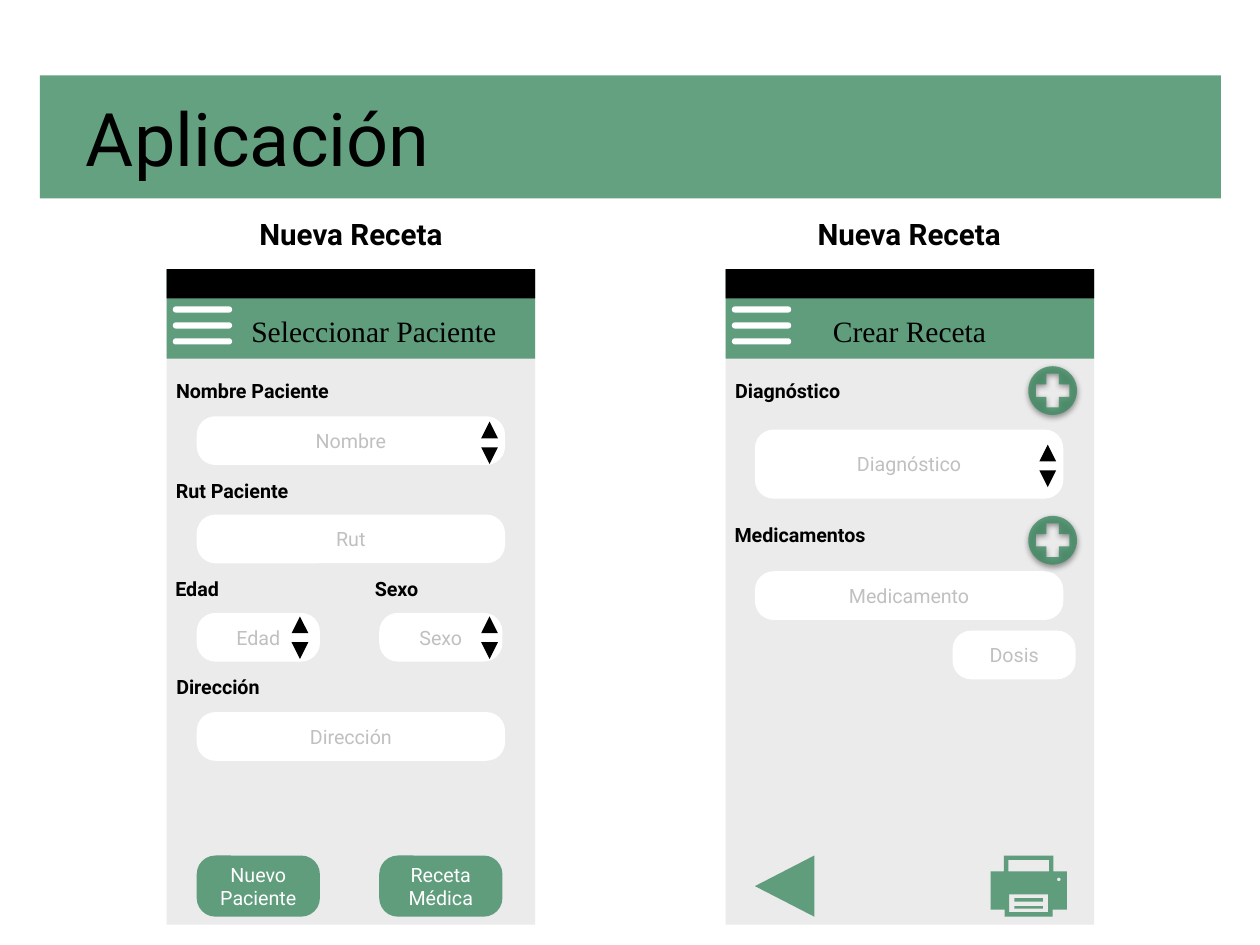
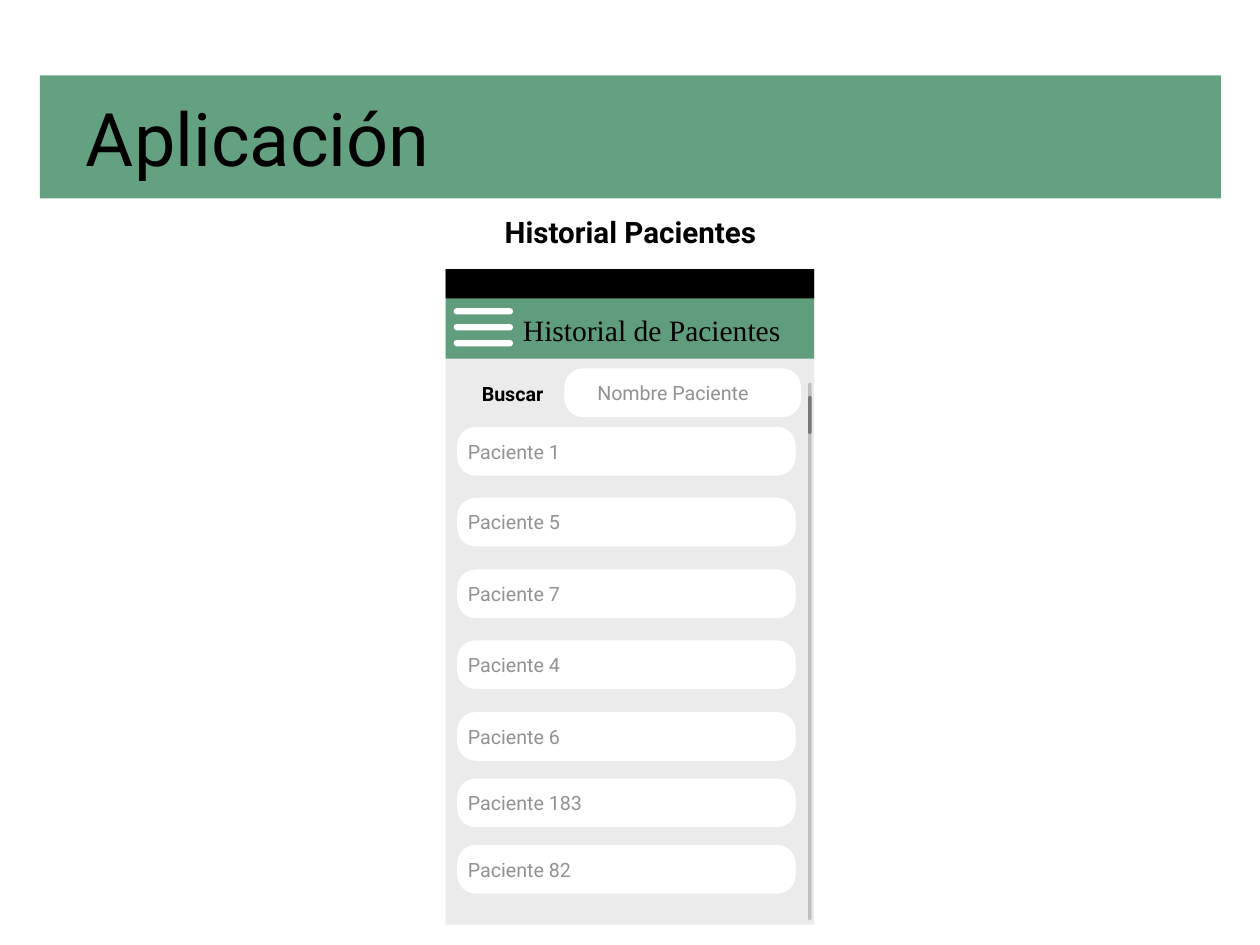
from math import cos, pi, sin

from lxml import etree
from pptx import Presentation
from pptx import util as u
from pptx.dml.color import RGBColor
from pptx.enum import shapes, text
from pptx.oxml.ns import qn

PX = 9144  # 100 px to the inch
GREEN, GREY, WHITE, BLACK = "3D8A62", "EBEBEB", "FFFFFF", "000000"
HINT, ENTRY = "C0C0C0", "929292"
SANS, SERIF = "Roboto", "Times New Roman"
RECT = shapes.MSO_SHAPE.RECTANGLE
ROUND = shapes.MSO_SHAPE.ROUNDED_RECTANGLE
TRIANGLE = shapes.MSO_SHAPE.ISOSCELES_TRIANGLE
CENTER, LEFT = text.PP_ALIGN.CENTER, text.PP_ALIGN.LEFT
INSET, CORNER = 6, 21


def paint(shape, color):
    """Fill without outline or shadow; the theme green is 80 % opaque."""
    shape.fill.solid()
    shape.fill.fore_color.rgb = RGBColor.from_string(color)
    shape.line.fill.background()
    shape.shadow.inherit = False
    if color == GREEN:
        tint = shape._element.spPr.find(".//" + qn("a:srgbClr"))
        etree.SubElement(tint, qn("a:alpha"), val="80000")


def write(shape, words, size, color, font=SANS, bold=False, align=CENTER,
          wrap=True, indent=0):
    frame = shape.text_frame
    frame.word_wrap = wrap
    frame.auto_size = text.MSO_AUTO_SIZE.NONE
    frame.vertical_anchor = text.MSO_ANCHOR.MIDDLE
    frame.margin_left = (INSET + indent) * PX
    frame.margin_right = frame.margin_top = frame.margin_bottom = INSET * PX
    paragraph = frame.paragraphs[0]
    paragraph.alignment = align
    run = paragraph.add_run()
    run.text = words
    run.font.name, run.font.size, run.font.bold = font, u.Pt(size), bold
    run.font.color.rgb = RGBColor.from_string(color)


prs = Presentation()
prs.slide_width, prs.slide_height = 1422 * PX, 1067 * PX

# Slides with the green title band
slides = []
for _ in range(2):
    slide = prs.slides.add_slide(prs.slide_layouts[5])
    band = slide.shapes.add_shape(RECT, 45 * PX, 85 * PX, 1333 * PX, 139 * PX)
    paint(band, GREEN)
    title = slide.shapes.title
    title.left, title.top, title.width, title.height = (
        v * PX for v in (83, 99, 416, 111))
    write(title, "Aplicación", 60, BLACK, wrap=False)
    slide.shapes._spTree.append(title._element)
    slides.append(slide)
recipe, history = slides

# Phones: slide, left, menu icon offset and top, bar title, heading
phones = [
    (recipe, 188, 7, 346, ("Seleccionar Paciente", 276, 348, 292),
     ("Nueva Receta", 279, 239, 234)),
    (recipe, 819, 7, 346, ("Crear Receta", 930, 348, 193),
     ("Nueva Receta", 909, 239, 234)),
    (history, 503, 9, 348, ("Historial de Pacientes", 580, 347, 311),
     ("Historial Pacientes", 556, 237, 311)),
]
for slide, left, menu_dx, menu_top, bar_title, heading in phones:
    parts = [(RECT, left, 305, 416, 739, GREY),
             (RECT, left, 304, 416, 101, GREEN),
             (RECT, left, 304, 416, 33, BLACK)]
    parts += [(ROUND, left + menu_dx, menu_top + 18 * i, 67, 7, WHITE)
              for i in range(3)]
    for preset, x, y, w, h, color in parts:
        part = slide.shapes.add_shape(preset, x * PX, y * PX, w * PX, h * PX)
        paint(part, color)
        if preset == ROUND:
            part.adjustments[0] = 0.5
    for (words, x, y, w), font in ((bar_title, SERIF), (heading, SANS)):
        label = slide.shapes.add_textbox(x * PX, y * PX, w * PX, 50 * PX)
        write(label, words, 24, BLACK, font, bold=font == SANS, wrap=False)

# Field labels
labels = [
    (recipe, "Nombre Paciente", 187, 423, 196),
    (recipe, "Rut Paciente", 188, 535, 148),
    (recipe, "Edad", 189, 646, 67),
    (recipe, "Sexo", 415, 646, 65),
    (recipe, "Dirección", 189, 757, 114),
    (recipe, "Diagnóstico", 819, 423, 140),
    (recipe, "Medicamentos", 818, 585, 170),
    (history, "Buscar", 535, 426, 87),
]
for slide, words, x, y, w in labels:
    label = slide.shapes.add_textbox(x * PX, y * PX, w * PX, 37 * PX)
    write(label, words, 16, BLACK, bold=True, wrap=False)

# Rounded fields and buttons: slide, words, box, fill, ink, alignment, indent
fields = [
    (recipe, words, x, y, w, h, WHITE, HINT, CENTER, 0)
    for words, x, y, w, h in (
        ("Nombre", 222, 470, 348, 55),
        ("Rut", 222, 581, 348, 55),
        ("Edad", 222, 692, 139, 55),
        ("Sexo", 428, 692, 139, 55),
        ("Dirección", 222, 804, 348, 55),
        ("Diagnóstico", 852, 485, 348, 78),
        ("Medicamento", 852, 645, 348, 55),
        ("Dosis", 1075, 712, 139, 55))
]
fields += [(recipe, words, x, 966, 139, 69, GREEN, WHITE, CENTER, 0)
           for words, x in (("Nuevo Paciente", 222), ("Receta Médica", 428))]
fields.append((history, "Nombre Paciente", 637, 416, 267, 55,
               WHITE, ENTRY, LEFT, 25))
for i, number in enumerate((1, 5, 7, 4, 6, 183, 82)):
    top = 482 + 161 * min(i, 4) // 2 + 75 * max(i - 4, 0)
    fields.append((history, f"Paciente {number}", 516, top, 382, 55,
                   WHITE, ENTRY, LEFT, 0))
for slide, words, x, y, w, h, color, ink, align, indent in fields:
    field = slide.shapes.add_shape(ROUND, x * PX, y * PX, w * PX, h * PX)
    paint(field, color)
    field.adjustments[0] = CORNER / h
    write(field, words, 16, ink, align=align, indent=indent)

# Scroll bar with its thumb
for y, h, color in ((432, 607, "C0C0C0"), (447, 43, "797979")):
    scroll = history.shapes.add_shape(ROUND, 912 * PX, y * PX, 4 * PX, h * PX)
    paint(scroll, color)
    scroll.adjustments[0] = 0.5

# Up and down arrows of the pickers, and the back button
triangles = [(851, 967, 69, 67, 270, GREEN)]
for x, y in ((543, 476), (543, 696), (329, 696), (1173, 502)):
    triangles += [(x, y, 19, 19, 0, BLACK), (x, y + 29, 19, 19, 180, BLACK)]
for x, y, w, h, turn, color in triangles:
    arrow = recipe.shapes.add_shape(TRIANGLE, x * PX, y * PX, w * PX, h * PX)
    paint(arrow, color)
    arrow.rotation = turn

# Icons as outlines with holes
circle = [(cos(pi * i / 30), sin(pi * i / 30)) for i in range(60)]
ARM, REACH, RADIUS = 7, 19, 27.5
cross = [(-ARM, -REACH), (ARM, -REACH), (ARM, -ARM), (REACH, -ARM),
         (REACH, ARM), (ARM, ARM), (ARM, REACH), (-ARM, REACH),
         (-ARM, ARM), (-REACH, ARM), (-REACH, -ARM), (-ARM, -ARM)]
icons = []
for cx, cy in ((1188, 441), (1188, 610)):
    icons.append(([[(cx + RADIUS * x, cy + RADIUS * y) for x, y in circle],
                   [(cx + x, cy + y) for x, y in cross]], True))
printer = [
    [(1133, 966), (1133, 984), (1118, 984), (1118, 1027), (1134, 1027),
     (1134, 1035), (1188, 1035), (1188, 1027), (1204, 1027), (1204, 984),
     (1189, 984), (1189, 966)],
    [(1195 + 2 * x, 993 + 2 * y) for x, y in circle],
]
printer += [[(l, t), (r, t), (r, b), (l, b)] for l, t, r, b in (
    (1138, 971, 1184, 984), (1139, 1010, 1183, 1030),
    (1145, 1014, 1177, 1018), (1145, 1023, 1177, 1026))]
icons.append((printer, False))
for contours, raised in icons:
    scaled = [[(x * PX, y * PX) for x, y in contour] for contour in contours]
    outline = recipe.shapes.build_freeform(*scaled[0][0], scale=1.0)
    outline.add_line_segments(scaled[0][1:], close=True)
    for hole in scaled[1:]:
        outline.move_to(*hole[0])
        outline.add_line_segments(hole[1:], close=True)
    icon = outline.convert_to_shape()
    paint(icon, GREEN)
    if raised:
        effects = icon._element.spPr.find(qn("a:effectLst"))
        cast = etree.SubElement(effects, qn("a:outerShdw"), blurRad="63500",
                                dist="25400", dir="5400000", rotWithShape="0")
        shade = etree.SubElement(cast, qn("a:srgbClr"), val=BLACK)
        etree.SubElement(shade, qn("a:alpha"), val="50000")

prs.save("out.pptx")
